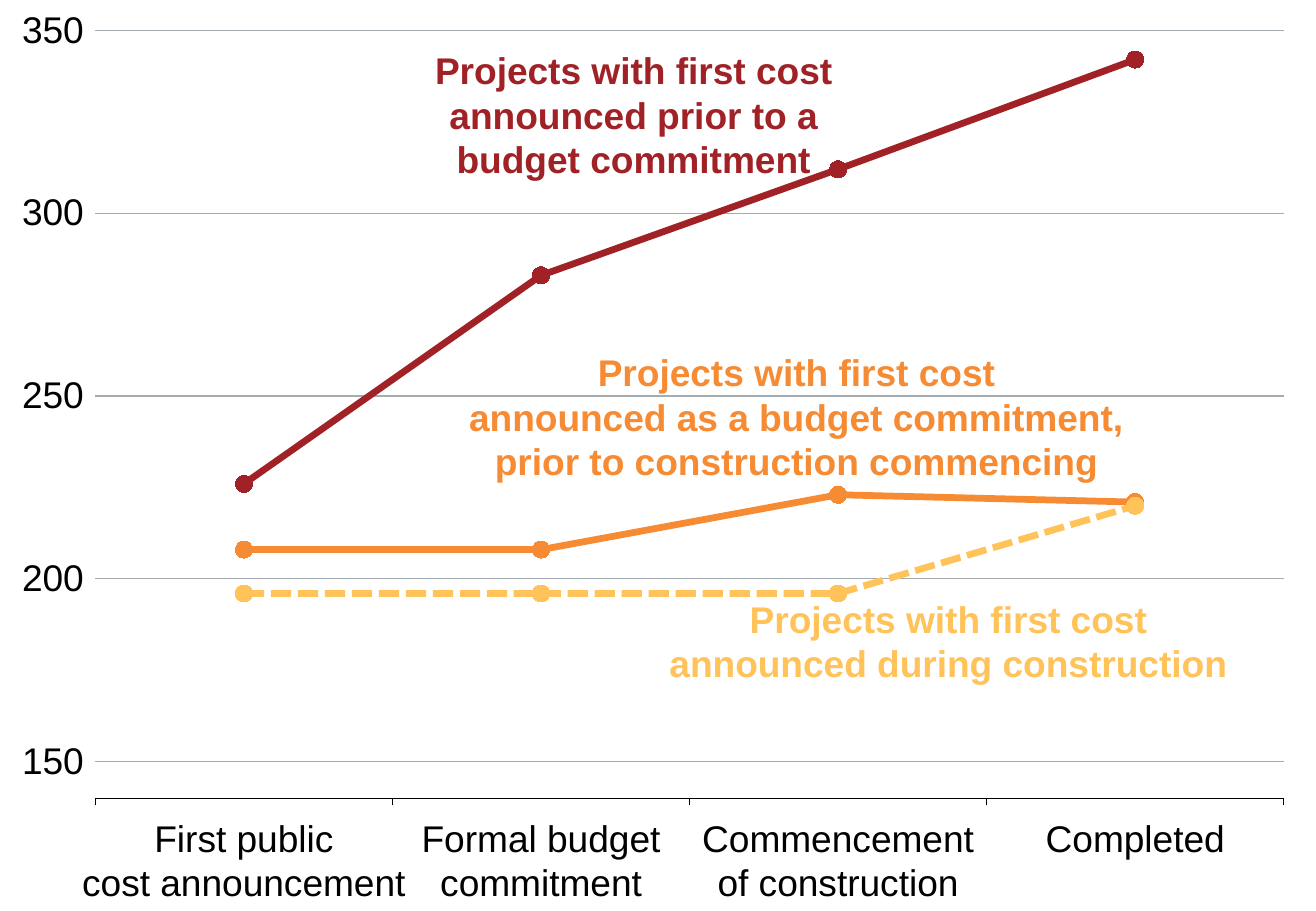
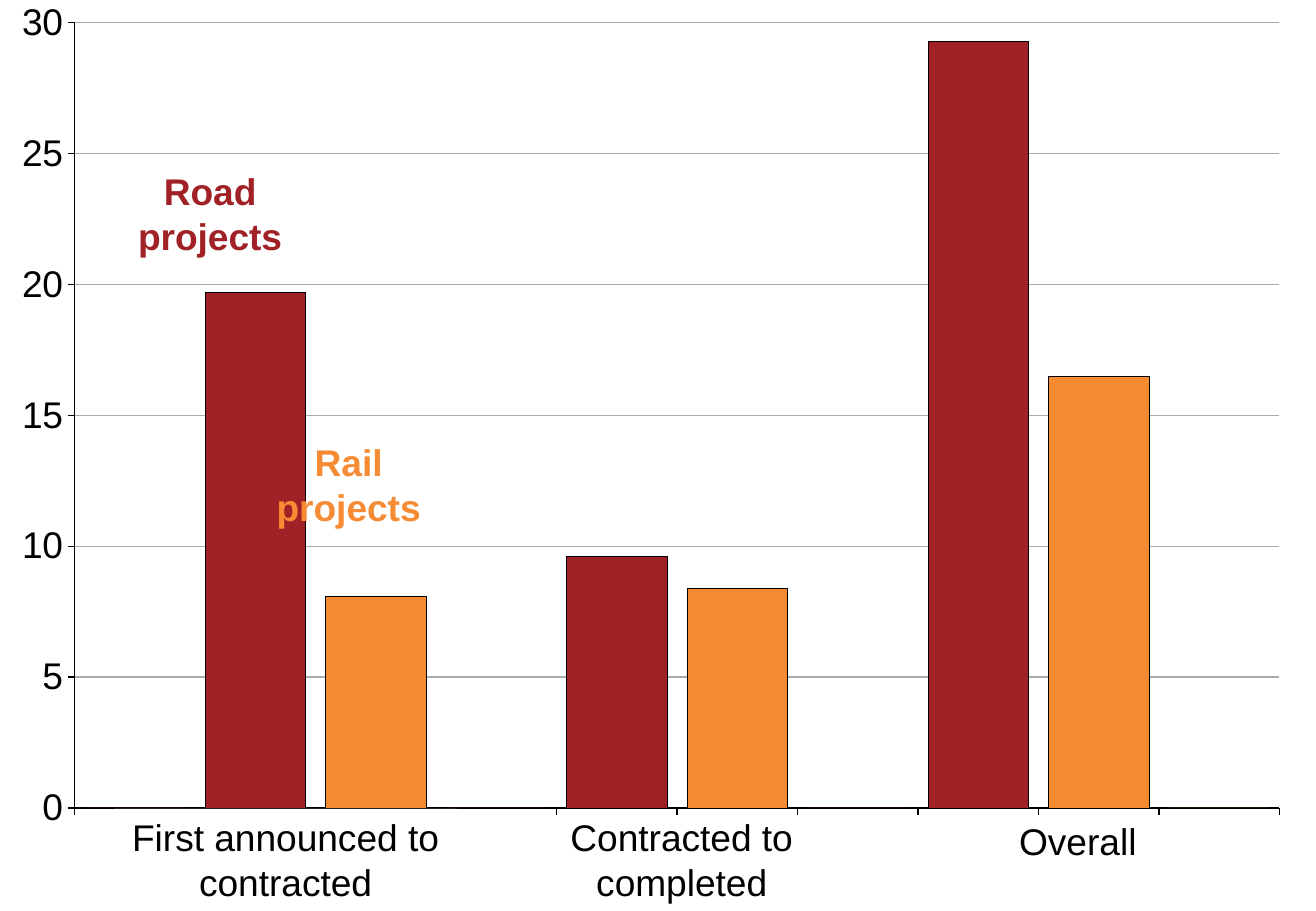
from lxml import etree
from pptx import Presentation, util as u
from pptx.chart.data import CategoryChartData
from pptx.dml.color import RGBColor
from pptx.enum import chart as ch, dml, shapes, text
from pptx.oxml.ns import qn

COLORS = {"red": "A02226", "orange": "F68B33", "yellow": "FFC35A",
          "black": "000000", "grid": "A4ABB1", "white": "FFFFFF"}
FONT = "Arial"
TEXT_SIZE = 22

LINE_CHART = {
    "kind": ch.XL_CHART_TYPE.LINE_MARKERS,
    "at": (-0.07, 0, 10.83, 8.95),
    "plot": (0.079, 0.028, 0.903, 0.841),
    "series": [[226, 283, 312, 342], [208, 208, 223, 221], [196, 196, 196, 220]],
    "axis": {"minimum_scale": 100, "maximum_scale": 350, "major_unit": 50, "crosses_at": 140},
}
LINE_COLORS = ["red", "orange", "yellow"]
STAGES = [(["First public", "cost announcement"], 2.7),
          (["Formal budget", "commitment"], 1.99),
          (["Commencement", "of construction"], 2.27),
          (["Completed"], 1.49)]
LINE_LABELS = [
    (["Projects with first cost announced prior to a budget commitment"],
     (3.52, 0.39, 3.39, 1.11), "red"),
    (["Projects with first cost", "announced as a budget commitment,",
      "prior to construction commencing"], (2.94, 2.88, 7.23, 1.11), "orange"),
    (["Projects with first cost", "announced during construction"],
     (4.64, 4.91, 6.33, 0.74), "yellow"),
]

BAR_CHART = {
    "kind": ch.XL_CHART_TYPE.COLUMN_CLUSTERED,
    "at": (-0.07, -0.15, 11.24, 7.5),
    "plot": (0.061, 0.045, 0.882, 0.862),
    "series": [[0, 19.7, 8.1, 0, 9.6, 8.4, 0, 29.3, 16.5, 0]],
    "axis": {"minimum_scale": 0, "maximum_scale": 30, "major_unit": 5},
}
PERIODS = [("First announced to contracted", 6.66, 2.82, 0.84),
           ("Contracted to completed", 6.66, 2.11, 0.84),
           ("Overall", 6.69, 2.11, 0.47)]
BAR_LABELS = [(["Road", "projects"], (1.13, 1.39, 1.2, 0.74), "red"),
              (["Rail", "projects"], (2.27, 3.62, 1.2, 0.74), "orange")]


def rgb(name):
    return RGBColor.from_string(COLORS[name])


def inches(box):
    return [u.Inches(v) for v in box]


def style_line(line, color, width):
    line.color.rgb = rgb(color)
    line.width = u.Pt(width)


def style_fill(fill, color):
    fill.solid()
    fill.fore_color.rgb = rgb(color)


def style_font(font, size, color="black", bold=False):
    for name, value in {"name": FONT, "size": u.Pt(size), "bold": bold}.items():
        setattr(font, name, value)
    font.color.rgb = rgb(color)


def set_plot_area(chart, box):
    area = chart._chartSpace.find(".//" + qn("c:plotArea"))
    for old in area.findall(qn("c:layout")):
        area.remove(old)
    layout = etree.Element(qn("c:layout"))
    manual = etree.SubElement(layout, qn("c:manualLayout"))
    values = [("layoutTarget", "inner"), ("xMode", "edge"), ("yMode", "edge")]
    values += zip("xywh", box)
    for tag, value in values:
        etree.SubElement(manual, qn("c:" + tag)).set("val", str(value))
    area.insert(0, layout)


def add_chart(slide, item):
    data = CategoryChartData()
    data.categories = [str(i + 1) for i in range(len(item["series"][0]))]
    for i, values in enumerate(item["series"], 1):
        data.add_series(f"Series {i}", values)
    chart = slide.shapes.add_chart(item["kind"], *inches(item["at"]), data).chart
    chart.has_legend = chart.has_title = False
    style_font(chart.font, 18)
    set_plot_area(chart, item["plot"])
    cat, val = chart.category_axis, chart.value_axis
    for axis in (cat, val):
        axis.major_tick_mark = ch.XL_TICK_MARK.OUTSIDE
        axis.minor_tick_mark = ch.XL_TICK_MARK.NONE
        style_line(axis.format.line, "black", 0.75)
    cat.tick_label_position = ch.XL_TICK_LABEL_POSITION.NONE
    for name, value in item["axis"].items():
        setattr(val, name, value)
    val.has_major_gridlines = True
    style_line(val.major_gridlines.format.line, "grid", 0.75)
    style_font(val.tick_labels.font, TEXT_SIZE)
    val.tick_labels.number_format = "#,##0"
    val.tick_labels.number_format_is_linked = False
    chart.plots[0].vary_by_categories = False
    return chart


def add_text(slide, lines, box, color="black", bold=False, inset=True, wrap=True, fill=None):
    if fill:
        sp = slide.shapes.add_shape(shapes.MSO_SHAPE.RECTANGLE, *inches(box))
        sp.shadow.inherit = False
        style_fill(sp.fill, fill)
        sp.line.fill.background()
    else:
        sp = slide.shapes.add_textbox(*inches(box))
    tf = sp.text_frame
    tf.word_wrap = wrap
    tf.auto_size = text.MSO_AUTO_SIZE.SHAPE_TO_FIT_TEXT
    tf.vertical_anchor = text.MSO_ANCHOR.TOP
    if not inset:
        for side in ("left", "top", "right", "bottom"):
            setattr(tf, "margin_" + side, 0)
    for i, line in enumerate(lines):
        p = tf.paragraphs[0] if i == 0 else tf.add_paragraph()
        p.alignment = text.PP_ALIGN.CENTER
        r = p.add_run()
        r.text = line
        style_font(r.font, TEXT_SIZE, color, bold)


def slot_centres(item, count):
    left, _, width, _ = item["at"]
    x, _, w, _ = item["plot"]
    return [left + width * (x + w * (i + 0.5) / count) for i in range(count)]


def build_line_slide(slide):
    chart = add_chart(slide, LINE_CHART)
    chart.value_axis.format.line.fill.background()
    for s, color in zip(chart.plots[0].series, LINE_COLORS):
        s.smooth = False
        style_line(s.format.line, color, 4)
        s.marker.style = ch.XL_MARKER_STYLE.CIRCLE
        s.marker.size = 10
        style_fill(s.marker.format.fill, color)
        s.marker.format.line.fill.background()
    s.format.line.dash_style = dml.MSO_LINE.SQUARE_DOT
    for (lines, width), centre in zip(STAGES, slot_centres(LINE_CHART, len(STAGES))):
        box = (centre - width / 2, 6.71, width, 0.37 * len(lines))
        add_text(slide, lines, box, inset=False, wrap=False)
    for lines, box, color in LINE_LABELS:
        add_text(slide, lines, box, color, bold=True, inset=False)


def build_bar_slide(slide):
    chart = add_chart(slide, BAR_CHART)
    plot = chart.plots[0]
    plot.gap_width, plot.overlap = 20, 31
    s = plot.series[0]
    s.invert_if_negative = False
    style_fill(s.format.fill, "orange")
    style_line(s.format.line, "black", 0.25)
    for i in range(len(BAR_CHART["series"][0]) - 1):
        if i % 3 < 2:
            fmt = s.points[i].format
            style_fill(fmt.fill, "red")
            style_line(fmt.line, "black", 0.25)
    for i, (label, top, width, height) in enumerate(PERIODS):
        box = (2.35 + 3.26 * i - width / 2, top, width, height)
        add_text(slide, [label], box, fill="white" if i == 0 else None)
    for lines, box, color in BAR_LABELS:
        add_text(slide, lines, box, color, bold=True, inset=False, wrap=False)


def main():
    prs = Presentation()
    prs.slide_width, prs.slide_height = inches((10.83, 7.5))
    for build in (build_line_slide, build_bar_slide):
        build(prs.slides.add_slide(prs.slide_layouts[6]))
    prs.save("out.pptx")


if __name__ == "__main__":
    main()
